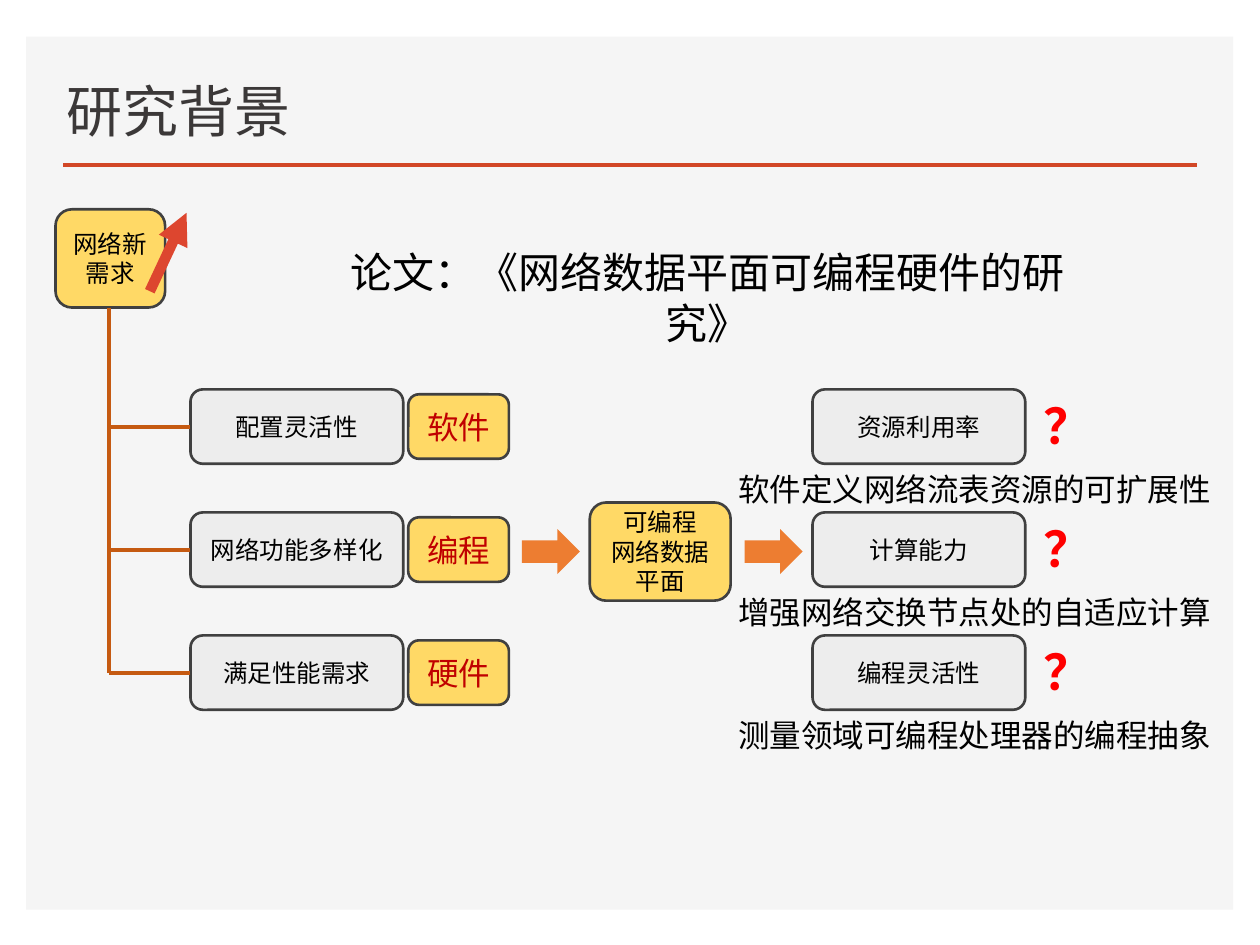
from dataclasses import dataclass

from lxml.etree import SubElement
from pptx import Presentation
from pptx.dml.color import RGBColor
from pptx.enum.shapes import MSO_CONNECTOR as Connector, MSO_SHAPE as Preset
from pptx.enum.text import MSO_ANCHOR as Anchor, PP_ALIGN as Align
from pptx.oxml.ns import qn
from pptx.util import Cm, Pt

COLORS = {
    "panel": "F5F5F5", "rule": "D24726", "title": "3B3838", "text": "000000",
    "yellow": "FFD966", "gray": "EDEDED", "outline": "404040", "tag": "C00000",
    "question": "FF0000", "branch": "C55A11", "rise": "DD462F", "arrow": "ED7D31",
}
LATIN_FONT, CHINESE_FONT = "Karla", "Noto Sans CJK SC"

# Lengths in centimetres
FIRST_ROW, ROW_PITCH = 8.6, 2.48
TRUNK_X, TRUNK_TOP = 2.2, 6.2
NEED_X, TAG_X, CHALLENGE_X, QUESTION_X = 3.84, 8.23, 16.38, 20.78
CAPTION_X = 14.63
ITEM_SIZE, TAG_SIZE = (4.29, 1.5), (2.03, 1.3)
ARROW_SIZE = (1.17, 0.91)


@dataclass
class Row:
    need: str
    tag: str
    challenge: str
    caption: str


@dataclass
class Node:
    text: str
    left: float
    middle: float
    size: tuple[float, float]
    fill: str
    points: int = 14
    color: str = "text"


@dataclass
class Label:
    text: str
    left: float
    top: float
    size: tuple[float, float]
    points: int = 18
    color: str = "text"
    bold: bool = False
    wrap: bool = True
    align: Align = Align.LEFT


@dataclass
class Line:
    start: tuple[float, float]
    end: tuple[float, float]
    color: str
    points: float
    arrow: bool = False


ROWS = [
    Row("配置灵活性", "软件", "资源利用率", "软件定义网络流表资源的可扩展性"),
    Row("网络功能多样化", "编程", "计算能力", "增强网络交换节点处的自适应计算"),
    Row("满足性能需求", "硬件", "编程灵活性", "测量领域可编程处理器的编程抽象"),
]


def rgb(name: str) -> RGBColor:
    return RGBColor.from_string(COLORS[name])


def format_text(frame, points: int, color: str, align: Align,
                bold: bool = False, latin: str = LATIN_FONT) -> None:
    for para in frame.paragraphs:
        para.alignment = align
        for span in para.runs:
            span.font.name = latin
            span.font.size = Pt(points)
            span.font.bold = bold
            span.font.color.rgb = rgb(color)
            SubElement(span.font._element, qn("a:ea"), typeface=CHINESE_FONT)


def add_filled(page, preset, left: float, top: float,
               size: tuple[float, float], fill: str):
    """Add a preset shape with a plain fill and no outline or shadow."""
    shape = page.shapes.add_shape(preset, Cm(left), Cm(top), *map(Cm, size))
    shape.shadow.inherit = False
    shape.fill.solid()
    shape.fill.fore_color.rgb = rgb(fill)
    shape.line.fill.background()
    return shape


def add_node(page, node: Node) -> None:
    top = node.middle - node.size[1] / 2
    box = add_filled(page, Preset.ROUNDED_RECTANGLE, node.left, top, node.size, node.fill)
    box.line.color.rgb = rgb("outline")
    box.line.width = Pt(1.5)
    frame = box.text_frame
    frame.text = node.text
    frame.word_wrap = True
    frame.vertical_anchor = Anchor.MIDDLE
    format_text(frame, node.points, node.color, Align.CENTER)


def add_label(page, label: Label) -> None:
    box = page.shapes.add_textbox(Cm(label.left), Cm(label.top), *map(Cm, label.size))
    frame = box.text_frame
    frame.text = label.text
    frame.word_wrap = label.wrap
    format_text(frame, label.points, label.color, label.align, label.bold)


def add_line(page, line: Line) -> None:
    connector = page.shapes.add_connector(
        Connector.STRAIGHT, *map(Cm, line.start + line.end))
    connector.line.color.rgb = rgb(line.color)
    connector.line.width = Pt(line.points)
    properties = connector._element.spPr
    if line.arrow:
        SubElement(properties.find(qn("a:ln")), qn("a:tailEnd"), type="triangle")
    SubElement(properties, qn("a:effectLst"))


def add_heading(page) -> None:
    title = page.shapes.title
    title.left, title.top, title.width, title.height = map(Cm, (1.09, 1.24, 14.33, 1.78))
    title.text_frame.text = "研究背景"
    title.text_frame.vertical_anchor = Anchor.BOTTOM
    format_text(title.text_frame, 32, "title", Align.LEFT, latin=CHINESE_FONT)
    panel = add_filled(page, Preset.RECTANGLE, 0.53, 0.74, (24.33, 17.6), "panel")
    title.element.addprevious(panel.element)
    add_line(page, Line((1.27, 3.33), (24.13, 3.33), "rule", 2))


def add_row(page, row: Row, middle: float) -> None:
    add_node(page, Node(row.need, NEED_X, middle, ITEM_SIZE, "gray"))
    add_node(page, Node(row.tag, TAG_X, middle, TAG_SIZE, "yellow", 18, "tag"))
    add_node(page, Node(row.challenge, CHALLENGE_X, middle, ITEM_SIZE, "gray"))
    add_line(page, Line((NEED_X, middle), (TRUNK_X, middle), "branch", 2.25))
    add_label(page, Label("？", QUESTION_X, middle - 0.75, (1.5, 1.45), 28,
                          "question", bold=True, wrap=False))
    add_label(page, Label(row.caption, CAPTION_X, middle + 0.75, (10.6, 1.02)))


def main() -> None:
    deck = Presentation()
    deck.slide_width, deck.slide_height = Cm(25.4), Cm(19.05)
    page = deck.slides.add_slide(deck.slide_layouts.get_by_name("Title Only"))
    add_heading(page)

    add_node(page, Node("网络新需求", 1.12, 5.21, (2.21, 1.98), "yellow"))
    add_line(page, Line((3.02, 5.87), (3.76, 4.29), "rise", 6, arrow=True))
    add_label(page, Label("论文：《网络数据平面可编程硬件的研究》", 6.32, 4.85,
                          (15.88, 1.27), 24, align=Align.CENTER))

    middles = [FIRST_ROW + index * ROW_PITCH for index in range(len(ROWS))]
    add_line(page, Line((TRUNK_X, TRUNK_TOP), (TRUNK_X, middles[-1]), "branch", 2.25))
    for row, middle in zip(ROWS, middles):
        add_row(page, row, middle)

    center = middles[1]
    add_node(page, Node("可编程\n网络数据\n平面", 11.89, center + 0.04, (2.84, 1.98), "yellow"))
    for left in (10.52, 15.01):
        add_filled(page, Preset.RIGHT_ARROW, left, center + 0.04 - ARROW_SIZE[1] / 2,
                   ARROW_SIZE, "arrow")
    deck.save("out.pptx")


if __name__ == "__main__":
    main()
